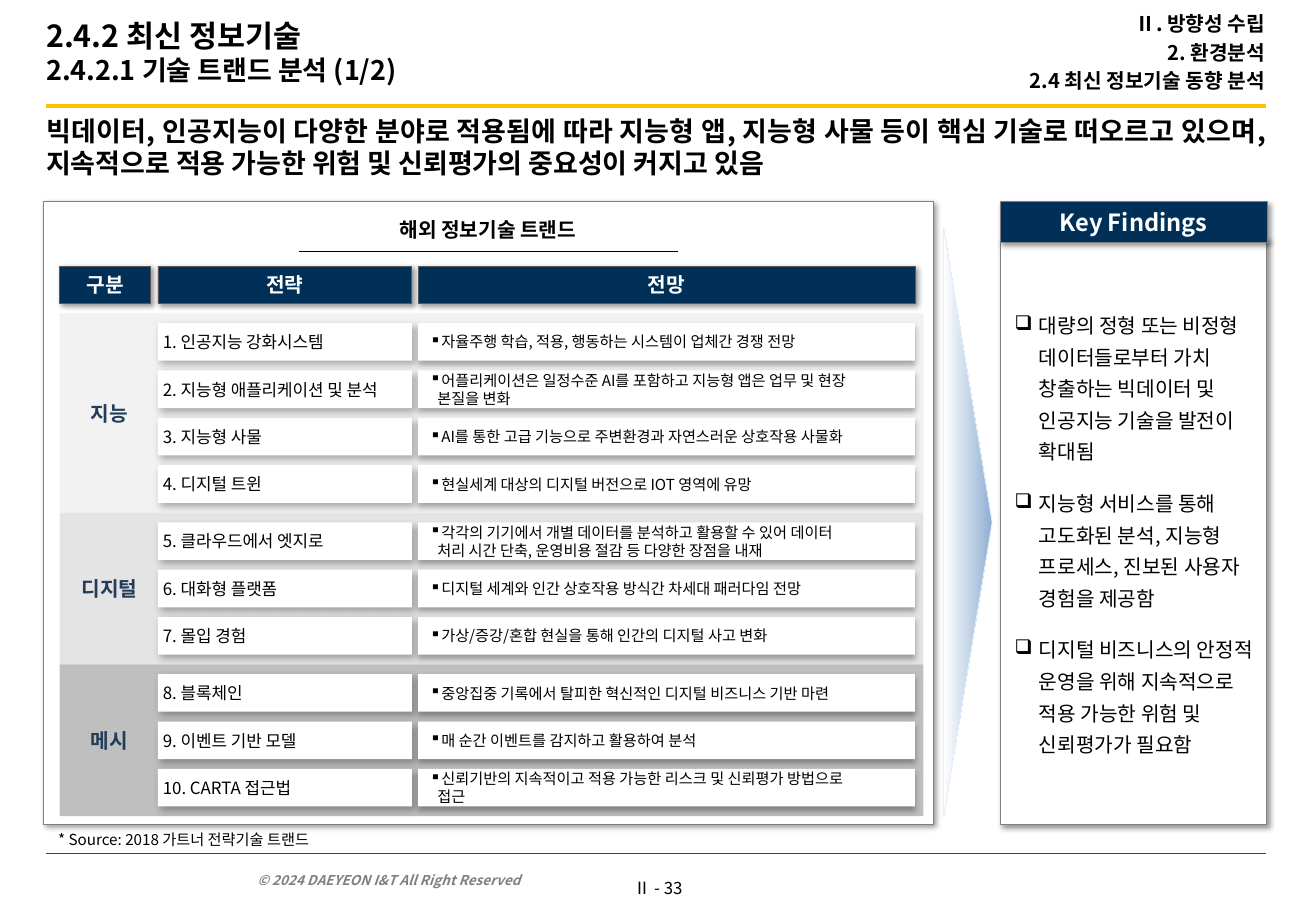
from copy import deepcopy

from lxml import etree
from pptx import Presentation
from pptx.dml.color import RGBColor
from pptx.enum.shapes import MSO_CONNECTOR, MSO_SHAPE
from pptx.enum.text import MSO_ANCHOR, PP_ALIGN
from pptx.oxml.ns import qn
from pptx.util import Pt

RECT, TRIANGLE = MSO_SHAPE.RECTANGLE, MSO_SHAPE.ISOSCELES_TRIANGLE
STRAIGHT = MSO_CONNECTOR.STRAIGHT
LEFT, CENTER, RIGHT, JUSTIFY = PP_ALIGN.LEFT, PP_ALIGN.CENTER, PP_ALIGN.RIGHT, PP_ALIGN.JUSTIFY
TOP, MIDDLE, BOTTOM = MSO_ANCHOR.TOP, MSO_ANCHOR.MIDDLE, MSO_ANCHOR.BOTTOM
PX = 9144

THEME = {
    "font": "Noto Sans CJK KR",
    "black": "000000", "white": "FFFFFF", "navy": "003058", "label": "233C5A",
    "gold": "FFC000", "rule": "404040", "grey": "808080", "border": "595959",
    "arrow": "8FAED3", "arrow_line": "E5EFFE",
    "bands": ["F2F2F2", "E4E4E4", "BFBFBF"],
    "title": 18, "headline": 16, "key": 14, "body": 12, "row": 10, "small": 9, "tiny": 8,
    "panel_shadow": (40, 3, 2, 45),
    "strategy_shadow": (30, 4.5, 2.6, 53),
    "outlook_shadow": (32, 3.5, 2.2, 90),
}

prs = Presentation()
prs.slide_width, prs.slide_height = 1083 * PX, 750 * PX
s = prs.slides.add_slide(prs.slide_layouts[6])


def box(x, y, w, h, fill=None, line=None, shadow=None, kind=RECT):
    pos = [v * PX for v in (x, y, w, h)]
    if not fill:
        return s.shapes.add_textbox(*pos)
    sp = s.shapes.add_shape(kind, *pos)
    sp.shadow.inherit = False
    sp.fill.solid()
    sp.fill.fore_color.rgb = RGBColor.from_string(fill)
    if line:
        sp.line.color.rgb = RGBColor.from_string(line)
        sp.line.width = Pt(0.5)
    else:
        sp.line.fill.background()
    if shadow:
        alpha, blur, dist, angle = shadow
        effects = sp._element.spPr.find(qn("a:effectLst"))
        outer = etree.SubElement(effects, qn("a:outerShdw"), blurRad=str(Pt(blur)), dist=str(Pt(dist)),
                                 dir=str(angle * 60000), algn="tl", rotWithShape="0")
        clr = etree.SubElement(outer, qn("a:srgbClr"), val=THEME["black"])
        etree.SubElement(clr, qn("a:alpha"), val=str(alpha * 1000))
    return sp


def write(sp, paras, size, color="black", bold=False, italic=False, align=LEFT, anchor=MIDDLE,
          insets=(10, 5, 10, 5), before=0, spacing=None, bullet=None, hang=0, wrap=True):
    tf = sp.text_frame
    tf.word_wrap = wrap
    tf.vertical_anchor = anchor
    tf.margin_left, tf.margin_top, tf.margin_right, tf.margin_bottom = [v * PX for v in insets]
    for i, para in enumerate(paras):
        p = tf.add_paragraph() if i else tf.paragraphs[0]
        if bullet:
            pPr = p._p.get_or_add_pPr()
            pPr.set("marL", str(hang * PX))
            pPr.set("indent", str(-hang * PX))
            etree.SubElement(pPr, qn("a:buChar"), char=bullet)
        p.alignment = align
        if spacing:
            p.line_spacing = spacing
        p.space_before = Pt(before if i else 0)
        for j, text in enumerate(para.split("\n")):
            if j:
                p.add_line_break()
                p._p[-1].append(deepcopy(r._r.rPr))
            r = p.add_run()
            r.text = text
            r.font.size = Pt(THEME[size])
            r.font.bold, r.font.italic = bold, italic
            r.font.color.rgb = RGBColor.from_string(THEME[color])
            r.font.name = THEME["font"]
            etree.SubElement(r._r.rPr, qn("a:ea"), typeface=THEME["font"])


title = box(38, 0, 772, 85)
write(title, ["2.4.2 최신 정보기술\n2.4.2.1 기술 트랜드 분석 (1/2)"], "title", bold=True, insets=(0, 5, 10, 5))
title.text_frame.paragraphs[0].runs[1].font.size = Pt(THEME["headline"])
write(box(687, 0, 354, 86), ["Ⅱ. 방향성 수립", "2. 환경분석", "2.4 최신 정보기술 동향 분석"], "body",
      bold=True, align=RIGHT, insets=(0, 5, 0, 5), before=2.4)
write(box(38, 94, 1004, 68),
      ["빅데이터, 인공지능이 다양한 분야로 적용됨에 따라 지능형 앱, 지능형 사물 등이 핵심 기술로 떠오르고 "
       "있으며, 지속적으로 적용 가능한 위험 및 신뢰평가의 중요성이 커지고 있음"],
      "headline", bold=True, align=JUSTIFY, anchor=TOP, insets=(0, 0, 0, 0))

box(36, 166, 732, 513, THEME["white"], THEME["grey"], THEME["panel_shadow"])
write(box(252, 174, 299, 30), ["해외 정보기술 트랜드"], "body", bold=True, align=CENTER, anchor=TOP)

for x1, x2, y, color, width in [(38, 1042, 87, "gold", 2.5), (38, 1042, 703, "rule", 0.5),
                                (246, 558, 207, "black", 1)]:
    ln = s.shapes.add_connector(STRAIGHT, x1 * PX, y * PX, x2 * PX, y * PX)
    ln.line.color.rgb = RGBColor.from_string(THEME[color])
    ln.line.width = Pt(width)
    etree.SubElement(ln._element.spPr, qn("a:effectLst"))

for x, w, heading in [(49, 75, "구분"), (130, 209, "전략"), (344, 409, "전망")]:
    sp = box(x, 219, w, 31, THEME["navy"], THEME["border"], THEME["panel_shadow"])
    write(sp, [heading], "body", "white", bold=True, align=CENTER, insets=(4, 5, 4, 5))

trends = [
    ("지능", [
        ("1. 인공지능 강화시스템", "자율주행 학습, 적용, 행동하는 시스템이 업체간 경쟁 전망"),
        ("2. 지능형 애플리케이션 및 분석",
         "어플리케이션은 일정수준 AI를 포함하고 지능형 앱은 업무 및 현장\n본질을 변화"),
        ("3. 지능형 사물", "AI를 통한 고급 기능으로 주변환경과 자연스러운 상호작용 사물화"),
        ("4. 디지털 트윈", "현실세계 대상의 디지털 버전으로 IOT 영역에 유망"),
    ]),
    ("디지털", [
        ("5. 클라우드에서 엣지로",
         "각각의 기기에서 개별 데이터를 분석하고 활용할 수 있어 데이터\n처리 시간 단축, 운영비용 절감 등 다양한 장점을 내재"),
        ("6. 대화형 플랫폼", "디지털 세계와 인간 상호작용 방식간 차세대 패러다임 전망"),
        ("7. 몰입 경험", "가상/증강/혼합 현실을 통해 인간의 디지털 사고 변화"),
    ]),
    ("메시", [
        ("8. 블록체인", "중앙집중 기록에서 탈피한 혁신적인 디지털 비즈니스 기반 마련"),
        ("9. 이벤트 기반 모델", "매 순간 이벤트를 감지하고 활용하여 분석"),
        ("10. CARTA 접근법", "신뢰기반의 지속적이고 적용 가능한 리스크 및 신뢰평가 방법으로\n접근"),
    ]),
]
band_top = 258
for (category, rows), band_fill in zip(trends, THEME["bands"]):
    band_height = 39 * len(rows) + 8
    box(49, band_top, 711, band_height, band_fill)
    write(box(56, band_top + 8, 68, band_height - 16), [category], "body", "label", bold=True,
          align=CENTER, insets=(0, 5, 0, 5))
    for i, (strategy, outlook) in enumerate(rows):
        y = band_top + 8 + 39 * i
        write(box(130, y, 209, 31, THEME["white"], shadow=THEME["strategy_shadow"]), [strategy], "row",
              insets=(4, 5, 0, 5))
        write(box(344, y, 409, 31, THEME["white"], shadow=THEME["outlook_shadow"]), [outlook], "small",
              bullet="▪", hang=6)
    band_top += band_height

arrow = box(554, 410, 485, 40, THEME["arrow"], THEME["arrow_line"], kind=TRIANGLE)
arrow.rotation = 90
arrow.fill.gradient()
arrow.fill.gradient_angle = 270
for stop, color in zip(arrow.fill.gradient_stops, ("arrow", "white")):
    stop.color.rgb = RGBColor.from_string(THEME[color])

findings = [
    "대량의 정형 또는 비정형 데이터들로부터 가치 창출하는 빅데이터 및 인공지능 기술을 발전이 확대됨",
    "지능형 서비스를 통해 고도화된 분석, 지능형 프로세스, 진보된 사용자 경험을 제공함",
    "디지털 비즈니스의 안정적 운영을 위해 지속적으로 적용 가능한 위험 및 신뢰평가가 필요함",
]
write(box(823, 196, 219, 483, THEME["white"], THEME["grey"], THEME["panel_shadow"]), findings, "body",
      insets=(12, 4, 8, 4), before=12, spacing=1.3, bullet="❑", hang=20)
write(box(823, 166, 220, 34, THEME["navy"], THEME["grey"], THEME["panel_shadow"]), ["Key Findings"], "key",
      "white", bold=True, align=CENTER)

write(box(38, 679, 247, 25), ["* Source: 2018 가트너 전략기술 트랜드"], "small", anchor=TOP, wrap=False)
write(box(202, 709, 302, 27), ["© 2024 DAEYEON I&T All Right Reserved"], "tiny", "grey", bold=True,
      italic=True, anchor=BOTTOM)
write(box(512, 718, 59, 27), ["Ⅱ - 33"], "row", align=CENTER, anchor=TOP, insets=(6, 5, 6, 5), wrap=False)

prs.save("out.pptx")
